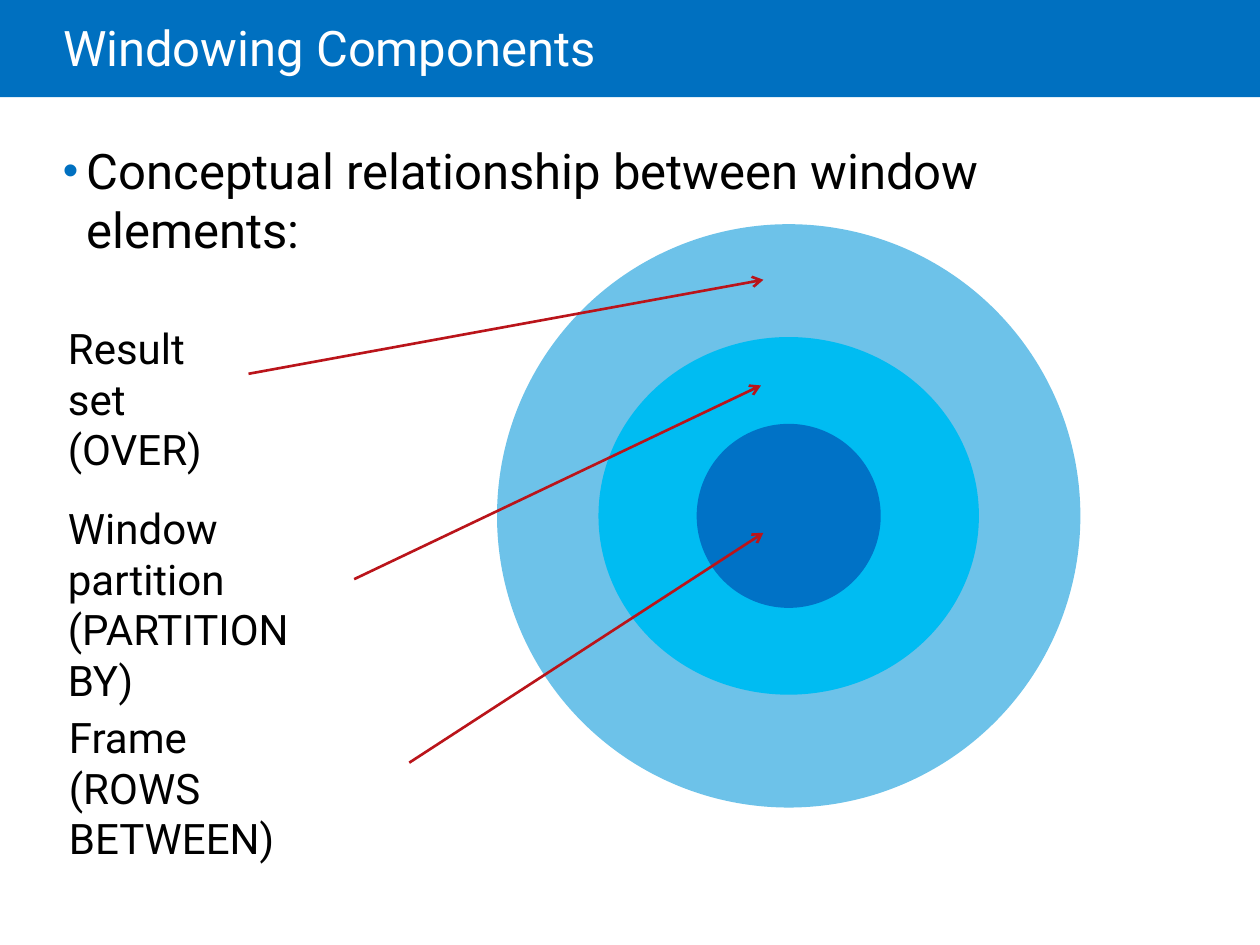
from lxml.etree import SubElement
from pptx import Presentation
from pptx.dml.color import RGBColor
from pptx.enum.shapes import MSO_CONNECTOR as CONNECTOR, MSO_SHAPE as SHAPE
from pptx.enum.text import MSO_ANCHOR as ANCHOR, MSO_AUTO_SIZE as AUTO_SIZE, PP_ALIGN as ALIGN
from pptx.oxml.ns import qn
from pptx.util import Cm, Pt

FONT = "Roboto"
COLORS = {
    "band": "0070C0", "title": "FFFFFF", "text": "000000", "arrow": "BA141A",
    "result_set": "6DC2E9", "partition": "00BCF2", "frame": "0072C6",
}
RINGS = [("result_set", 11.76, 11.76), ("partition", 7.67, 7.21), ("frame", 3.71, 3.71)]
LABELS = [
    ("Result set\n(OVER)", (0, 0, 3.89, 2.31), (-0.51, -4.76)),
    ("Window\vpartition\n(PARTITION BY)", (0, 3.63, 6.02, 3.33), (-0.56, -2.63)),
    ("Frame\v(ROWS BETWEEN)", (0.02, 7.84, 7.11, 2.31), (-0.51, 0.34)),
]


def color(name):
    return RGBColor.from_string(COLORS[name])


def add_filled(slide, kind, box, fill):
    shape = slide.shapes.add_shape(kind, *map(Cm, box))
    shape.shadow.inherit = False
    shape.fill.solid()
    shape.fill.fore_color.rgb = color(fill)
    shape.line.fill.background()
    return shape


def write(shape, text, size, font_color, margins):
    frame = shape.text_frame
    frame.word_wrap = True
    frame.auto_size = AUTO_SIZE.NONE
    frame.margin_left, frame.margin_top, frame.margin_right, frame.margin_bottom = map(Cm, margins)
    frame.text = text
    for paragraph in frame.paragraphs:
        paragraph.alignment = ALIGN.LEFT
        paragraph.font.name = FONT
        paragraph.font.size = Pt(size)
        paragraph.font.color.rgb = color(font_color)
    return frame


def add_header(slide, box):
    left, top, width, height = box
    band = add_filled(slide, SHAPE.RECTANGLE, box, "band")
    slide.shapes._spTree.insert(2, band._element)
    title = slide.shapes.title
    title.left, title.top = Cm(left + 1.27), Cm(top)
    title.width, title.height = Cm(width - 3.81), Cm(height + 0.1)
    frame = write(title, "Windowing Components", 28, "title", (0, 0.13, 0.25, 0.13))
    frame.vertical_anchor = ANCHOR.MIDDLE
    frame.paragraphs[0].line_spacing = 0.85


def add_bullet(slide, box):
    shape = slide.shapes.add_textbox(*map(Cm, box))
    text = "Conceptual relationship between window elements:"
    paragraph = write(shape, text, 28, "text", (0, 0, 0, 0)).paragraphs[0]
    paragraph.space_before = Pt(6)
    properties = paragraph._p.get_or_add_pPr()
    properties.set("marL", str(Cm(0.48)))
    properties.set("indent", str(-Cm(0.48)))
    bullet_color = SubElement(properties, qn("a:buClr"))
    SubElement(bullet_color, qn("a:srgbClr"), val=COLORS["band"])
    SubElement(properties, qn("a:buSzPct"), val="90000")
    SubElement(properties, qn("a:buFont"), typeface="Arial")
    SubElement(properties, qn("a:buChar"), char="•")


def add_rings(slide, center):
    x, y = center
    for name, width, height in RINGS:
        add_filled(slide, SHAPE.OVAL, (x - width / 2, y - height / 2, width, height), name)


def add_arrow(slide, label, tip):
    arrow = slide.shapes.add_connector(CONNECTOR.STRAIGHT, 0, 0, *map(Cm, tip))
    arrow.begin_connect(label, 3)
    arrow.line.color.rgb = color("arrow")
    arrow.line.width = Pt(1.5)
    SubElement(arrow.line._get_or_add_ln(), qn("a:tailEnd"), type="arrow")
    SubElement(arrow._element.spPr, qn("a:effectLst"))


def add_labels(slide, corner, center):
    for text, (left, top, width, height), (tip_x, tip_y) in LABELS:
        box = (corner[0] + left, corner[1] + top, width, height)
        label = slide.shapes.add_textbox(*map(Cm, box))
        write(label, text, 24, "text", (0.25, 0.13, 0.25, 0.13))
        add_arrow(slide, label, (center[0] + tip_x, center[1] + tip_y))


def main():
    presentation = Presentation()
    presentation.slide_width, presentation.slide_height = Cm(25.4), Cm(19.05)
    slide = presentation.slides.add_slide(presentation.slide_layouts[5])
    center = (15.9, 10.4)
    add_header(slide, (0, 0, 25.4, 1.96))
    add_bullet(slide, (1.27, 2.84, 22.56, 14.3))
    add_rings(slide, center)
    add_labels(slide, (1.12, 6.38), center)
    presentation.save("out.pptx")


if __name__ == "__main__":
    main()
